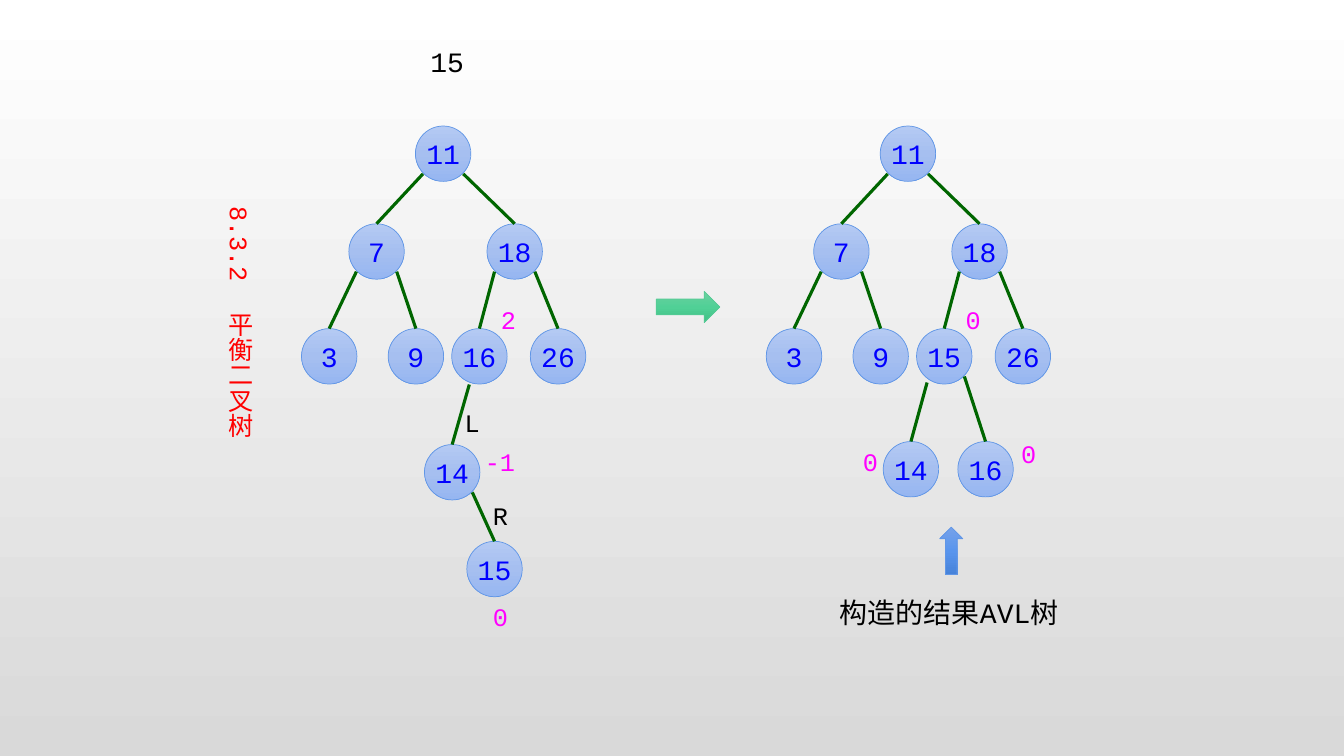
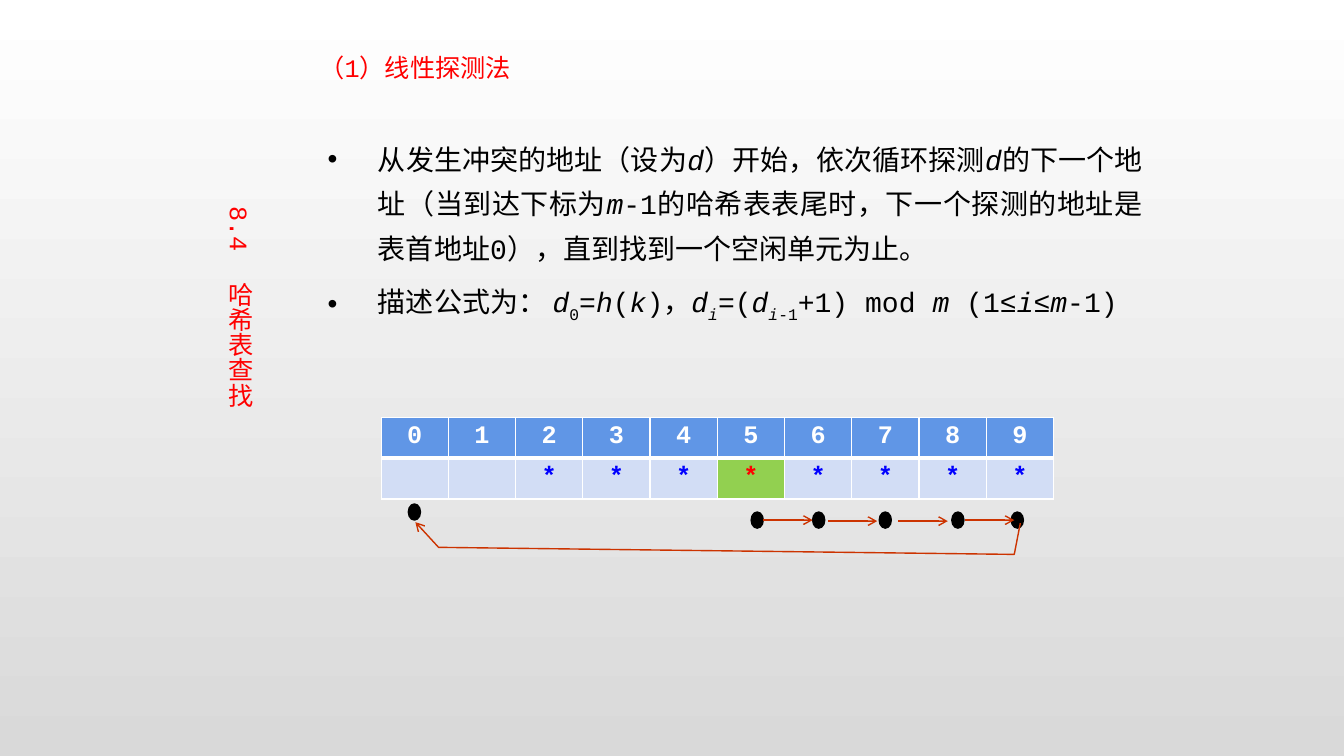
from copy import deepcopy

from lxml.etree import SubElement
from pptx import Presentation
from pptx.dml.color import RGBColor
from pptx.enum.shapes import MSO_CONNECTOR, MSO_SHAPE
from pptx.enum.text import MSO_ANCHOR, PP_ALIGN
from pptx.oxml.ns import qn
from pptx.util import Inches, Pt

FONT = "Courier New"
BLACK = RGBColor(0x00, 0x00, 0x00)
WHITE = RGBColor(0xFF, 0xFF, 0xFF)
GREY = RGBColor(0xD9, 0xD9, 0xD9)
RED = RGBColor(0xFF, 0x00, 0x00)
BLUE = RGBColor(0x00, 0x00, 0xFF)
PINK = RGBColor(0xFF, 0x00, 0xFF)
GREEN = RGBColor(0x00, 0x66, 0x00)
RUST = RGBColor(0xCC, 0x33, 0x00)
LIME = RGBColor(0x92, 0xD0, 0x50)
AZURE = RGBColor(0x60, 0x96, 0xE6)
PALE = RGBColor(0xD2, 0xDD, 0xF5)
MINT = RGBColor(0x56, 0xCA, 0x95)
BACK = [WHITE, GREY]
BALL = [RGBColor(0xB4, 0xCA, 0xF3), RGBColor(0xA6, 0xBF, 0xF0), RGBColor(0x96, 0xB6, 0xF1)]
LEAF = [RGBColor(0x6D, 0xD1, 0xA1), RGBColor(0x50, 0xD0, 0x96), RGBColor(0x41, 0xBF, 0x85)]
SKY = [RGBColor(0x76, 0xA2, 0xEA), RGBColor(0x59, 0x95, 0xED), RGBColor(0x47, 0x83, 0xDA)]

NODE = 0.55  # node diameter
DOT = (0.12, 0.16)

# Nodes and edges that both trees share, relative to the tree's corner
NODES = {"11": (1.13, 0), "7": (0.47, 0.97), "18": (1.84, 0.97),
         "3": (0, 2.01), "9": (0.86, 2.01), "26": (2.27, 2.01)}
EDGES = [("11", "7"), ("11", "18"), ("7", "3"), ("7", "9"), ("18", "26")]
INNER = (1.49, 2.01)


# Shared helpers
def blend(fill, root, tints):
    """Fill from top to bottom through two or three colours."""
    fill.gradient()
    fill.gradient_angle = 270
    if len(tints) == 3:
        stops = root.find(".//" + qn("a:gsLst"))
        mid = deepcopy(stops[0])
        mid.set("pos", "50000")
        stops.insert(1, mid)
    for stop, tint in zip(fill.gradient_stops, tints):
        stop.color.rgb = tint


def write(para, text, size, color, bold=False, style=""):
    """Add one run; style holds i for italic and s for subscript."""
    run = para.add_run()
    run.text = text
    font = run.font
    font.name, font.size, font.bold = FONT, Pt(size), bold
    font.italic = "i" in style
    font.color.rgb = color
    if "s" in style:
        run._r.get_or_add_rPr().set("baseline", "-30000")
    return run


def frame(slide, x, y, w, h):
    box = slide.shapes.add_textbox(Inches(x), Inches(y), Inches(w), Inches(h))
    box.text_frame.word_wrap = True
    return box.text_frame


def label(slide, x, y, w, text, size=18, color=BLACK):
    area = frame(slide, x, y, w, 0.4)
    write(area.paragraphs[0], text, size, color)


def shape(slide, kind, x, y, w, h, edge, width, tints=None):
    item = slide.shapes.add_shape(kind, Inches(x), Inches(y), Inches(w), Inches(h))
    item.shadow.inherit = False
    if tints:
        blend(item.fill, item._element.spPr, tints)
    else:
        item.fill.solid()
        item.fill.fore_color.rgb = edge
    item.line.color.rgb = edge
    item.line.width = Pt(width)
    return item


def stroke(item, color, width, arrow):
    item.line.color.rgb = color
    item.line.width = Pt(width)
    if arrow:
        SubElement(item._element.spPr.get_or_add_ln(), qn("a:tailEnd"), type="arrow")


def line(slide, start, end, color, width, arrow=False):
    ends = [Inches(v) for v in (*start, *end)]
    item = slide.shapes.add_connector(MSO_CONNECTOR.STRAIGHT, *ends)
    stroke(item, color, width, arrow)
    SubElement(item._element.spPr, qn("a:effectLst"))


def page(deck, number, title, height):
    """New slide with shaded background and vertical section title."""
    slide = deck.slides.add_slide(deck.slide_layouts[6])
    blend(slide.background.fill, slide._element, BACK)
    area = frame(slide, 2.08, 1.95, 0.5, height)
    area._txBody.bodyPr.set("vert", "eaVert")
    para = area.paragraphs[0]
    write(para, number, 18, RED)
    gap = write(para, " ", 18, RED)
    gap._r.get_or_add_rPr().set("spc", "1080")
    write(para, title, 18, RED)
    return slide


# Tree slide
def tree(slide, x, y, nodes, edges, notes):
    """Draw the shared tree plus its own nodes, edges and notes."""
    spots = {**NODES, **nodes}
    for name, (dx, dy) in spots.items():
        ball = shape(slide, MSO_SHAPE.OVAL, x + dx, y + dy, NODE, NODE, AZURE, 0.5, BALL)
        area = ball.text_frame
        area.word_wrap = False
        area.vertical_anchor = MSO_ANCHOR.MIDDLE
        area.paragraphs[0].alignment = PP_ALIGN.CENTER
        write(area.paragraphs[0], name, 20, BLUE)
    half = NODE / 2
    for top, low, *shift in EDGES + edges:
        (px, py), (cx, cy) = spots[top], spots[low]
        dx, dy = shift or (0.2 if cx > px else -0.2, 0.2)
        line(slide, (x + px + half + dx, y + py + half + dy),
             (x + cx + half, y + cy), GREEN, 2.25)
    for text, dx, dy, w, color in notes:
        label(slide, x + dx, y + dy, w, text, color=color)


def avl(deck):
    slide = page(deck, "8.3.2", "平衡二叉树", 3.44)
    label(slide, 4.17, 0.39, 0.55, "15", 20)
    tree(slide, 2.99, 1.25,
         {"16": INNER, "14": (1.22, 3.16), "15": (1.64, 4.12)},
         [("18", "16"), ("16", "14", -0.1, 0.28), ("14", "15")],
         [("2", 1.88, 1.72, 0.31, PINK), ("-1", 1.72, 3.13, 0.63, PINK),
          ("0", 1.8, 4.67, 0.31, PINK), ("L", 1.52, 2.74, 0.31, BLACK),
          ("R", 1.8, 3.66, 0.31, BLACK)])
    tree(slide, 7.6, 1.25,
         {"15": INNER, "14": (1.16, 3.13), "16": (1.9, 3.13)},
         [("18", "15"), ("15", "14", -0.17, 0.26), ("15", "16")],
         [("0", 1.88, 1.72, 0.31, PINK), ("0", 0.86, 3.13, 0.39, PINK),
          ("0", 2.43, 3.05, 0.31, PINK)])
    shape(slide, MSO_SHAPE.RIGHT_ARROW, 6.51, 2.89, 0.63, 0.31, MINT, 0.5, LEAF)
    shape(slide, MSO_SHAPE.UP_ARROW, 9.32, 5.23, 0.23, 0.47, AZURE, 0.5, SKY)
    label(slide, 8.23, 5.86, 2.66, "构造的结果AVL树", 20)


# Hash slide
POINTS = [
    [("从发生冲突的地址（设为", ""), ("d", "i"), ("）开始，依次循环探测", ""), ("d", "i"),
     ("的下一个地址（当到达下标为", ""), ("m", "i"),
     ("-1的哈希表表尾时，下一个探测的地址是表首地址0），直到找到一个空闲单元为止。", "")],
    [("描述公式为： ", ""), ("d", "i"), ("0", "s"), ("=", ""), ("h", "i"), ("(", ""),
     ("k", "i"), (")，", ""), ("d", "i"), ("i", "is"), ("=(", ""), ("d", "i"),
     ("i", "is"), ("-1", "s"), ("+1) mod ", ""), ("m", "i"), (" (1≤", ""),
     ("i", "i"), ("≤", ""), ("m", "i"), ("-1)", "")],
]


def points(slide, x, y, w, h):
    area = frame(slide, x, y, w, h)
    for i, runs in enumerate(POINTS):
        para = area.add_paragraph() if i else area.paragraphs[0]
        props = para._p.get_or_add_pPr()
        props.set("marL", str(Inches(0.5)))
        props.set("indent", str(Inches(-0.5)))
        SubElement(props, qn("a:buFont"), typeface="Arial")
        SubElement(props, qn("a:buChar"), char="•")
        para.alignment = PP_ALIGN.JUSTIFY
        para.line_spacing = Pt(32)
        if i:
            para.space_before = Pt(10)
        for text, style in runs:
            write(para, text, 20, BLACK, style=style)


def edge(cell, side, width):
    props = cell._tc.get_or_add_tcPr()
    rule = SubElement(props, qn("a:" + side), w=str(Pt(width)))
    paint = SubElement(rule, qn("a:solidFill"))
    SubElement(paint, qn("a:srgbClr"), val=str(WHITE))


def slots(slide, x, y, w, h):
    """Table of ten addresses; slot 5 is where the clash occurs."""
    rows = [list("0123456789"), ["", ""] + ["*"] * 8]
    grid = slide.shapes.add_table(2, 10, Inches(x), Inches(y), Inches(w), Inches(h)).table
    for r, row in enumerate(rows):
        for c, text in enumerate(row):
            cell = grid.cell(r, c)
            clash = r == 1 and c == 5
            for side in ("lnL", "lnR", "lnT", "lnB"):
                thick = side == ("lnT" if r else "lnB")
                edge(cell, side, 3 if thick else 1)
            cell.fill.solid()
            cell.fill.fore_color.rgb = LIME if clash else PALE if r else AZURE
            if text:
                para = cell.text_frame.paragraphs[0]
                para.alignment = PP_ALIGN.CENTER
                color = RED if clash else BLUE if r else WHITE
                write(para, text, 18, color, bold=True)


def probe(slide, x, y):
    """Dots under the visited slots, arrows between them and the way back."""
    for dx, dy in [(0, 0), (3.4, 0.08), (4.01, 0.08), (4.67, 0.08), (5.39, 0.08), (5.98, 0.08)]:
        shape(slide, MSO_SHAPE.OVAL, x + dx, y + dy, *DOT, BLACK, 1)
    for dx, dy in [(3.52, 0.16), (4.16, 0.17), (4.86, 0.17), (5.52, 0.16)]:
        line(slide, (x + dx, y + dy), (x + dx + 0.49, y + dy), RUST, 1, True)
    turns = [(6.07, 0.19), (6.01, 0.5), (0.3, 0.43), (0.07, 0.18)]
    start, *rest = [(Inches(x + dx), Inches(y + dy)) for dx, dy in turns]
    path = slide.shapes.build_freeform(*start)
    path.add_line_segments(rest, close=False)
    loop = path.convert_to_shape()
    loop.shadow.inherit = False
    loop.fill.background()
    stroke(loop, RUST, 1, True)


def hashing(deck):
    slide = page(deck, "8.4", "哈希表查找", 3.05)
    label(slide, 3.07, 0.47, 3.44, "（1）线性探测法", color=RED)
    points(slide, 3.15, 1.25, 8.28, 2.06)
    slots(slide, 3.78, 4.14, 6.67, 0.81)
    probe(slide, 4.05, 5)


def main():
    deck = Presentation()
    deck.slide_width, deck.slide_height = Inches(13.33), Inches(7.5)
    avl(deck)
    hashing(deck)
    deck.save("out.pptx")


if __name__ == "__main__":
    main()
